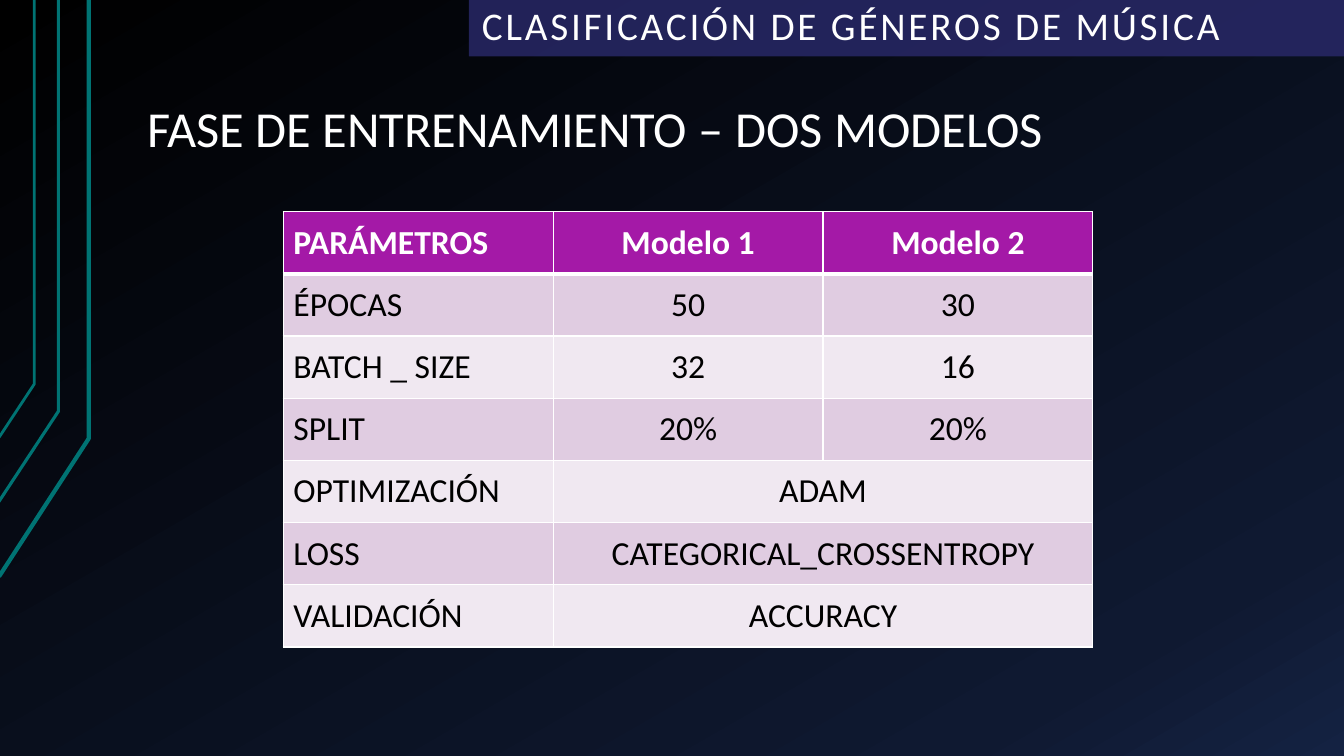
"""Build the slide that compares the training parameters of two models."""
from lxml.etree import SubElement
from pptx import Presentation
from pptx.dml.color import RGBColor
from pptx.enum.shapes import MSO_SHAPE
from pptx.enum.text import MSO_ANCHOR, MSO_AUTO_SIZE, PP_ALIGN
from pptx.oxml import parse_xml
from pptx.oxml.ns import nsdecls, qn
from pptx.util import Inches, Pt

WHITE = RGBColor(0xFF, 0xFF, 0xFF)
BLACK = RGBColor(0x00, 0x00, 0x00)
TEAL = RGBColor(0x00, 0x73, 0x73)
NAVY = RGBColor(0x2A, 0x2A, 0x6C)
PURPLE = RGBColor(0xA4, 0x19, 0xA7)
LILAC = RGBColor(0xE0, 0xCC, 0xE1)
PALE = RGBColor(0xF0, 0xE8, 0xF1)
SKY = [(0, BLACK), (85, RGBColor(0x0F, 0x19, 0x31)), (100, RGBColor(0x14, 0x22, 0x42))]


def write(para, text, size, color, bold=False):
    run = para.add_run()
    run.text = text
    font = run.font
    font.name, font.size, font.bold = "Calibri", Pt(size), bold
    font.color.rgb = color
    return run


def inset(frame):
    frame.word_wrap = True
    frame.auto_size = MSO_AUTO_SIZE.NONE
    frame.margin_left = frame.margin_right = Inches(0.13)
    frame.margin_top = frame.margin_bottom = Inches(0.07)
    para = frame.paragraphs[0]
    para.alignment = PP_ALIGN.LEFT
    para.line_spacing = 0.9
    return para


prs = Presentation()
prs.slide_width, prs.slide_height = Inches(13.33), Inches(7.5)
slide = prs.slides.add_slide(prs.slide_layouts[5])
shapes = slide.shapes

fill = slide.background.fill
fill.gradient()
fill.gradient_angle = 300
stops = slide.element.find(".//" + qn("a:gsLst"))
for stop in list(stops):
    stops.remove(stop)
for pos, color in SKY:
    stop = SubElement(stops, qn("a:gs"), pos=str(pos * 1000))
    SubElement(stop, qn("a:srgbClr"), val=str(color))

for left, low, right, bend, width in [
    (-0.01, 5.72, 0.88, 4.35, 3),
    (-0.02, 4.99, 0.58, 4.08, 2.25),
    (-0.01, 4.34, 0.34, 3.81, 2),
]:
    path = shapes.build_freeform(Inches(left), Inches(low))
    path.add_line_segments(
        [(Inches(right), Inches(bend)), (Inches(right), 0)], close=False)
    trace = path.convert_to_shape()
    trace.shadow.inherit = False
    trace.fill.background()
    trace.line.color.rgb = TEAL
    trace.line.width = Pt(width)

title = shapes.title
title.left, title.top = Inches(1.33), Inches(0.3)
title.width, title.height = Inches(11.33), Inches(1.34)
title.text_frame.vertical_anchor = MSO_ANCHOR.BOTTOM
write(inset(title.text_frame), "FASE DE ENTRENAMIENTO – DOS MODELOS", 36, WHITE)

ROWS = [
    ("PARÁMETROS", "Modelo 1", "Modelo 2"),
    ("ÉPOCAS", "50", "30"),
    ("BATCH _ SIZE", "32", "16"),
    ("SPLIT", "20%", "20%"),
    ("OPTIMIZACIÓN", "ADAM"),
    ("LOSS", "CATEGORICAL_CROSSENTROPY"),
    ("VALIDACIÓN", "ACCURACY"),
]
table = shapes.add_table(
    len(ROWS), 3, Inches(2.81), Inches(2.1), Inches(8.03), Inches(4.32)).table
for r, row in enumerate(ROWS):
    head = r == 0
    if len(row) == 2:
        table.cell(r, 1).merge(table.cell(r, 2))
    for c in range(3):
        cell = table.cell(r, c)
        cell.vertical_anchor = MSO_ANCHOR.MIDDLE
        cell.fill.solid()
        cell.fill.fore_color.rgb = PURPLE if head else LILAC if r % 2 else PALE
        props = cell._tc.get_or_add_tcPr()
        for i, side in enumerate("LRTB"):
            thick = (r, side) in [(0, "B"), (1, "T")]
            props.insert(i, parse_xml(
                f'<a:ln{side} {nsdecls("a")} w="{Pt(3 if thick else 1)}"><a:solidFill>'
                f'<a:srgbClr val="{WHITE}"/></a:solidFill></a:ln{side}>'))
        if c < len(row):
            para = cell.text_frame.paragraphs[0]
            para.alignment = PP_ALIGN.CENTER if c else PP_ALIGN.LEFT
            write(para, row[c], 24, WHITE if head else BLACK, head)

banner = shapes.add_shape(
    MSO_SHAPE.RECTANGLE, Inches(4.65), 0, Inches(8.68), Inches(0.56))
banner.shadow.inherit = False
banner.line.fill.background()
banner.fill.solid()
banner.fill.fore_color.rgb = NAVY
tint = banner.element.spPr.find(".//" + qn("a:srgbClr"))
SubElement(tint, qn("a:alpha"), val="80000")
banner.text_frame.vertical_anchor = MSO_ANCHOR.TOP
run = write(inset(banner.text_frame), "CLASIFICACIÓN DE GÉNEROS DE MÚSICA", 28, WHITE)
run.font._element.set("spc", "200")

prs.save("out.pptx")
